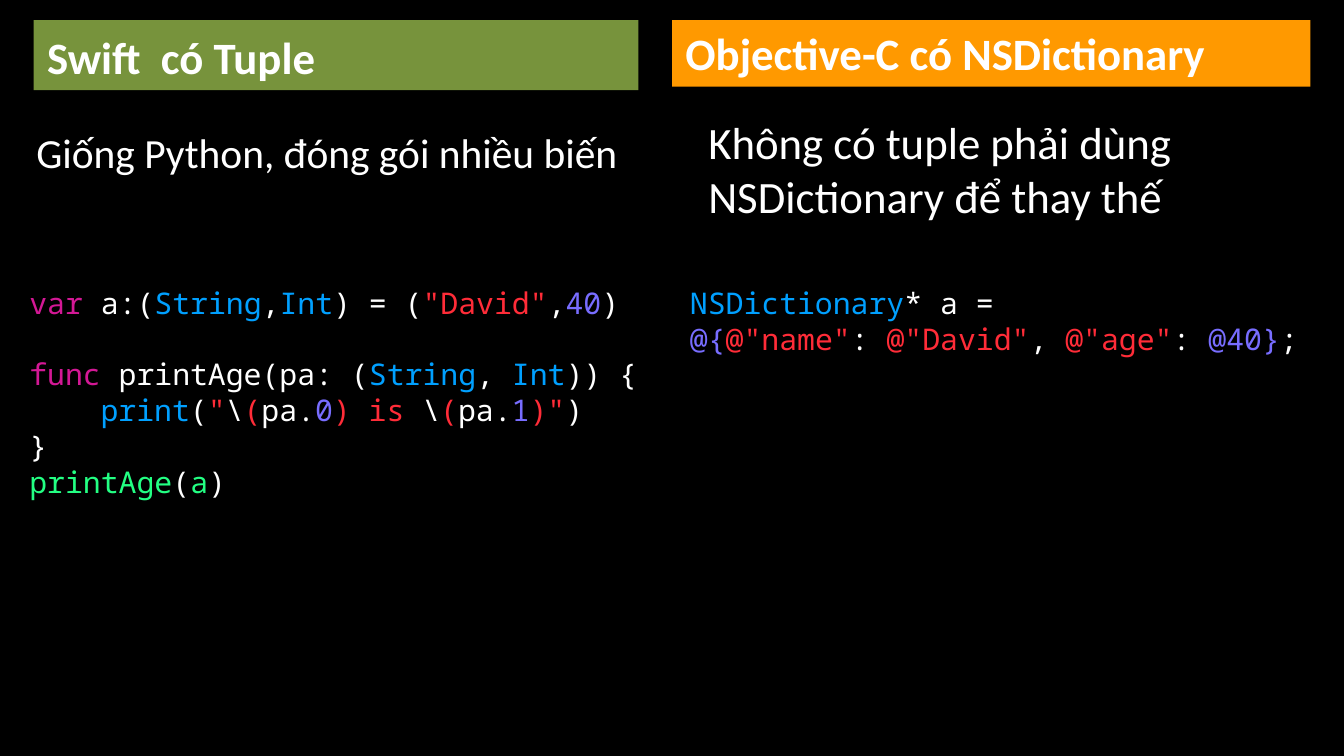
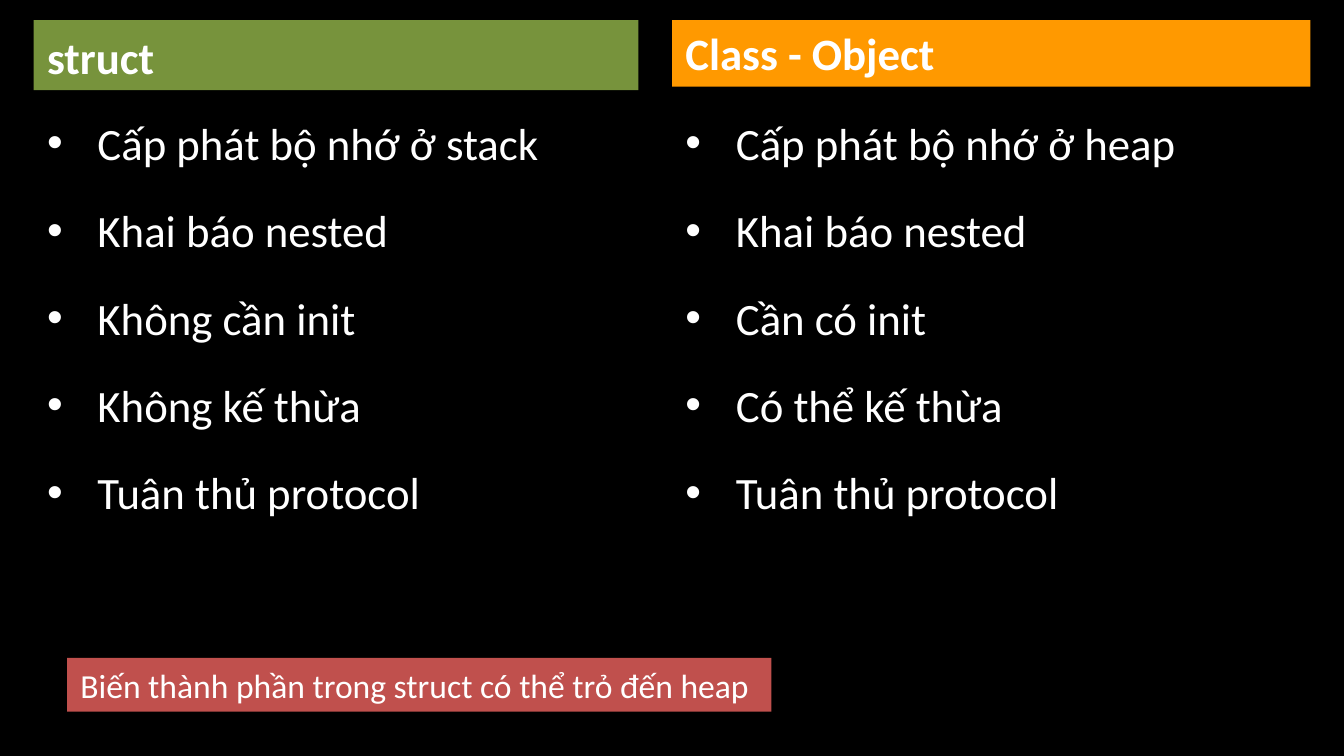
from dataclasses import dataclass

from lxml import etree
from pptx import Presentation
from pptx.dml.color import RGBColor
from pptx.enum.text import MSO_ANCHOR, MSO_AUTO_SIZE
from pptx.oxml.ns import qn
from pptx.util import Pt

PX = 4572
COMPARISON_LAYOUT = 4
BOTTOM = MSO_ANCHOR.BOTTOM
NO_FIT = MSO_AUTO_SIZE.NONE
GROW = MSO_AUTO_SIZE.SHAPE_TO_FIT_TEXT


@dataclass(frozen=True)
class Theme:
    background: str = "000000"
    text: str = "FFFFFF"
    left_band: str = "77933C"
    right_band: str = "FF9900"
    note_band: str = "C0504D"
    keyword: str = "D31895"
    type_name: str = "00A0FF"
    string: str = "FF2C38"
    number: str = "786DFF"
    symbol: str = "23FF83"
    body_font: str = "Calibri"
    code_font: str = "Noto Sans Mono"
    body_size: float = 24
    tight_size: float = 22.2
    note_size: float = 18
    code_size: float = 16
    paragraph_gap: float = 18
    code_gap: float = 19


theme = Theme()


def place(shape, box):
    shape.left, shape.top, shape.width, shape.height = [value * PX for value in box]


def style_run(run, size, color=theme.text, font=theme.body_font, bold=False):
    run.font.size = Pt(size)
    run.font.name = font
    run.font.bold = bold
    run.font.color.rgb = RGBColor.from_string(color)


columns = [
    {"band": (50, 30, 900, 104), "color": theme.left_band},
    {"band": (1000, 30, 950, 99), "color": theme.right_band},
]

comparisons = [
    {
        "headings": ["Swift  có Tuple", "Objective-C có NSDictionary"],
        "bodies": [
            "Giống Python, đóng gói nhiều biến",
            "Không có tuple phải dùng NSDictionary để thay thế",
        ],
        "boxes": [(54, 179, 900, 116), (1034, 161, 884, 184)],
        "sizes": [theme.tight_size, theme.body_size],
        "insets": [0, 20],
        "bullets": False,
    },
    {
        "headings": ["struct", "Class - Object"],
        "bodies": [
            "Cấp phát bộ nhớ ở stack\nKhai báo nested\nKhông cần init\n"
            "Không kế thừa\nTuân thủ protocol",
            "Cấp phát bộ nhớ ở heap\nKhai báo nested\nCần có init\n"
            "Có thể kế thừa\nTuân thủ protocol",
        ],
        "boxes": [(50, 162, 900, 916), (1000, 162, 950, 916)],
        "sizes": [theme.body_size, theme.body_size],
        "insets": [20, 20],
        "bullets": True,
    },
]

plain, keyword, type_name = theme.text, theme.keyword, theme.type_name
string, number, symbol = theme.string, theme.number, theme.symbol

swift_lines = [
    (0, 0, [
        (keyword, "var"), (plain, " a:("), (type_name, "String"), (plain, ","),
        (type_name, "Int"), (plain, ") = ("), (string, '"David"'), (plain, ","),
        (number, "40"), (plain, ")"),
    ]),
    (0, theme.code_gap, [
        (keyword, "func"), (plain, " printAge(pa: ("), (type_name, "String"),
        (plain, ", "), (type_name, "Int"), (plain, ")) {"),
    ]),
    (106, 0, [
        (type_name, "print"), (plain, "("), (string, '"'), (plain, "\\"),
        (string, "("), (plain, "pa."), (number, "0"), (string, ") is "),
        (plain, "\\"), (string, "("), (plain, "pa."), (number, "1"),
        (string, ')"'), (plain, ")"),
    ]),
    (0, 0, [(plain, "}")]),
    (0, 0, [(symbol, "printAge"), (plain, "("), (symbol, "a"), (plain, ")")]),
]
objective_c_lines = [
    (0, 0, [
        (type_name, "NSDictionary"), (plain, "* a = "), (plain, "\n"),
        (number, "@{"), (string, '@"name"'), (plain, ": "), (string, '@"David"'),
        (plain, ", "), (string, '@"age"'), (plain, ": "), (number, "@40}"),
        (plain, ";"),
    ]),
]
code_blocks = [
    ((24, 414, 958, 344), swift_lines),
    ((1007, 414, 958, 188), objective_c_lines),
]

presentation = Presentation()
presentation.slide_width = 2000 * PX
presentation.slide_height = 1125 * PX
master_fill = presentation.slide_master.background.fill
master_fill.solid()
master_fill.fore_color.rgb = RGBColor.from_string(theme.background)

for comparison in comparisons:
    slide = presentation.slides.add_slide(presentation.slide_layouts[COMPARISON_LAYOUT])
    title, *placeholders = slide.placeholders
    title.element.getparent().remove(title.element)

    for index, column in enumerate(columns):
        heading, body = placeholders[2 * index:2 * index + 2]
        place(heading, column["band"])
        heading.fill.solid()
        heading.fill.fore_color.rgb = RGBColor.from_string(column["color"])
        heading.text_frame.text = comparison["headings"][index]
        heading.text_frame.vertical_anchor = BOTTOM
        heading.text_frame.auto_size = NO_FIT
        heading_paragraph = heading.text_frame.paragraphs[0]
        heading_paragraph.space_before = Pt(theme.paragraph_gap)
        style_run(heading_paragraph.runs[0], theme.body_size, bold=True)

        place(body, comparison["boxes"][index])
        body.text_frame.text = comparison["bodies"][index]
        body.text_frame.auto_size = NO_FIT
        body.text_frame.margin_left = comparison["insets"][index] * PX
        body.text_frame.margin_right = comparison["insets"][index] * PX
        for paragraph in body.text_frame.paragraphs:
            paragraph.space_before = Pt(theme.paragraph_gap)
            style_run(paragraph.runs[0], comparison["sizes"][index])
            if not comparison["bullets"]:
                properties = paragraph._p.get_or_add_pPr()
                properties.set("marL", "0")
                properties.set("indent", "0")
                etree.SubElement(properties, qn("a:buNone"))

tuple_slide, struct_slide = presentation.slides

for box, lines in code_blocks:
    code = tuple_slide.shapes.add_textbox(*[value * PX for value in box])
    code.text_frame.word_wrap = False
    code.text_frame.auto_size = GROW
    for line_index, (indent, gap, tokens) in enumerate(lines):
        paragraph = (
            code.text_frame.add_paragraph() if line_index
            else code.text_frame.paragraphs[0]
        )
        paragraph.space_before = Pt(gap)
        paragraph._p.get_or_add_pPr().set("marL", str(indent * PX))
        for color, text in tokens:
            if text == "\n":
                paragraph.add_line_break()
                line_break = paragraph._p[-1]
                etree.SubElement(line_break, qn("a:rPr"), sz=str(theme.code_size * 100))
                continue
            run = paragraph.add_run()
            run.text = text
            style_run(run, theme.code_size, color, theme.code_font)

note = struct_slide.shapes.add_textbox(100 * PX, 979 * PX, 1048 * PX, 80 * PX)
note.fill.solid()
note.fill.fore_color.rgb = RGBColor.from_string(theme.note_band)
note.text_frame.text = "Biến thành phần trong struct có thể trỏ đến heap"
note.text_frame.word_wrap = False
note.text_frame.auto_size = GROW
style_run(note.text_frame.paragraphs[0].runs[0], theme.note_size)

presentation.save("out.pptx")
